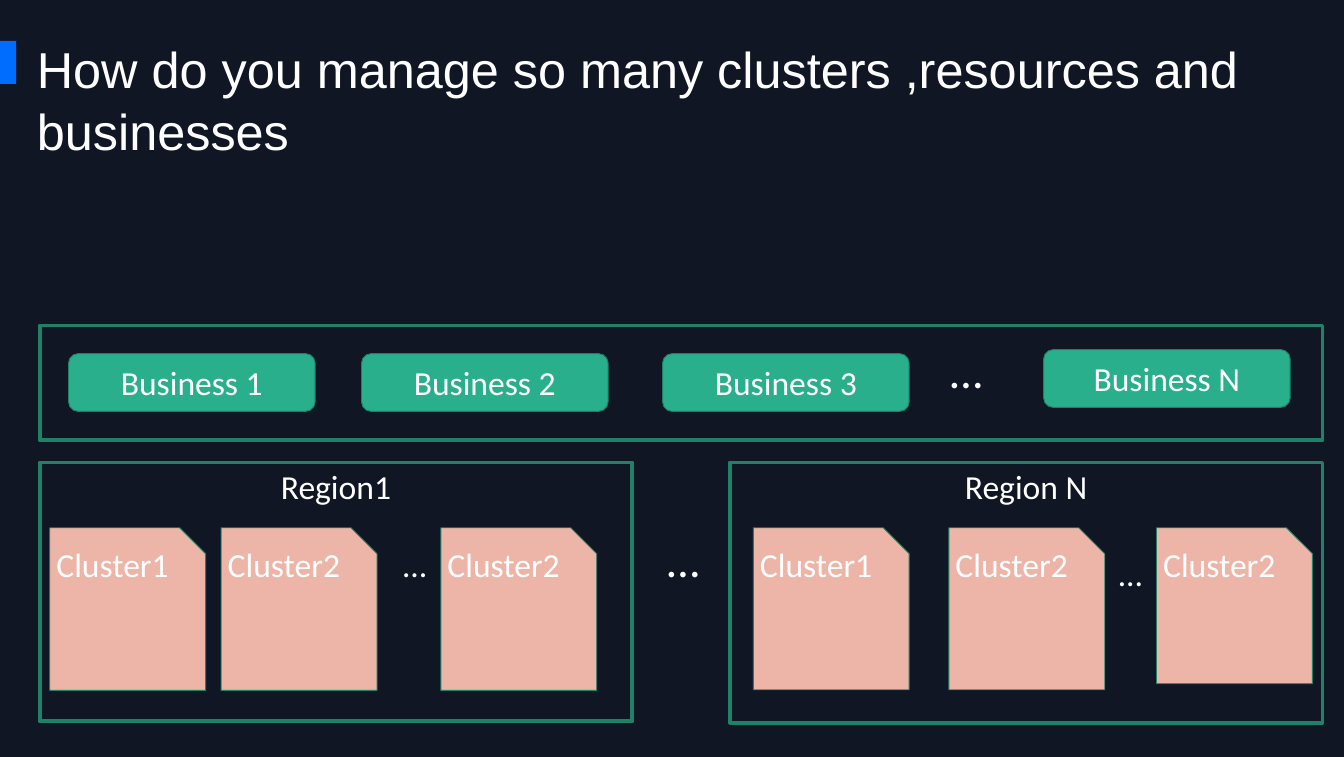
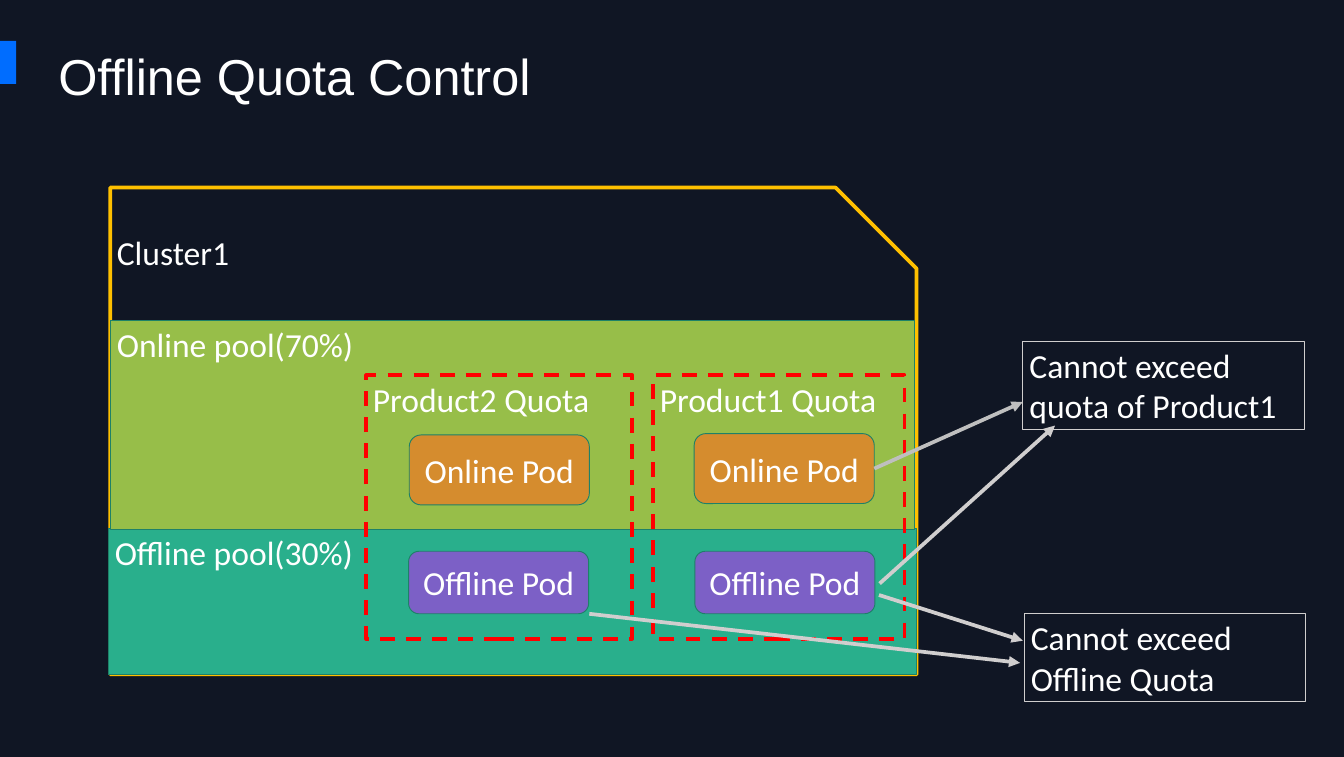
from dataclasses import dataclass
from lxml import etree
from pptx import Presentation
from pptx.dml.color import RGBColor
from pptx.enum import dml, shapes, text
from pptx.oxml import ns
from pptx.util import Inches, Pt


@dataclass(frozen=True)
class Theme:
    background: str = "101624"
    accent: str = "006DFF"
    white: str = "FFFFFF"
    outline: str = "1E8168"
    green: str = "29AF8C"
    lime: str = "97BE49"
    salmon: str = "ECB5A8"
    orange: str = "D58C2E"
    purple: str = "7C60C6"
    gold: str = "FFC000"
    red: str = "FF0000"
    pale: str = "D0CECE"
    grey: str = "BFBFBF"
    title_font: str = "Arial"
    body_font: str = "Calibri"
    title_size: int = 54
    title_pitch: int = 66
    body_size: int = 36
    dots_size: int = 50
    thin: int = 1
    thick: int = 4


@dataclass(frozen=True)
class Box:
    left: float
    top: float
    width: float
    height: float

    def inner(self, left, top, width, height):
        return Box(self.left + left, self.top + top, width, height)

    def lengths(self):
        return [Inches(n) for n in (self.left, self.top, self.width, self.height)]


THEME = Theme()
RECT = shapes.MSO_SHAPE.RECTANGLE
ROUND = shapes.MSO_SHAPE.ROUNDED_RECTANGLE
SNIP = shapes.MSO_SHAPE.SNIP_1_RECTANGLE


def color(value):
    return RGBColor.from_string(value)


def write(shape, words, size=THEME.body_size, font=THEME.body_font,
          centred=False, middle=False, grow=False):
    frame = shape.text_frame
    frame.word_wrap = True
    frame.vertical_anchor = text.MSO_ANCHOR.MIDDLE if middle else text.MSO_ANCHOR.TOP
    if grow:
        frame.auto_size = text.MSO_AUTO_SIZE.SHAPE_TO_FIT_TEXT
    para = frame.paragraphs[0]
    para.alignment = text.PP_ALIGN.CENTER if centred else text.PP_ALIGN.LEFT
    span = para.add_run()
    span.text = words
    span.font.size = Pt(size)
    span.font.name = font
    span.font.color.rgb = color(THEME.white)
    return para


def add_block(page, box, kind=RECT, fill=None, line=THEME.outline,
              weight=THEME.thin, words=None, **style):
    shape = page.shapes.add_shape(kind, *box.lengths())
    shape.shadow.inherit = False
    if fill:
        shape.fill.solid()
        shape.fill.fore_color.rgb = color(fill)
    else:
        shape.fill.background()
    if line:
        shape.line.color.rgb = color(line)
        shape.line.width = Pt(weight)
    else:
        shape.line.fill.background()
    if words:
        write(shape, words, **style)
    return shape


def add_label(page, box, words, **style):
    label = page.shapes.add_textbox(*box.lengths())
    return write(label, words, grow=True, **style)


def add_pill(page, box, fill, words):
    return add_block(page, box, ROUND, fill, words=words, centred=True, middle=True)


def add_arrow(page, start, end, line=THEME.pale, source=None):
    arrow = page.shapes.add_connector(
        shapes.MSO_CONNECTOR.STRAIGHT, *[Inches(n) for n in (*start, *end)])
    if source is not None:
        arrow.begin_connect(source, 3)
    arrow.line.color.rgb = color(line)
    arrow.line.width = Pt(THEME.thick)
    etree.SubElement(arrow.line._get_or_add_ln(), ns.qn("a:tailEnd"), type="triangle")
    etree.SubElement(arrow._element.spPr, ns.qn("a:effectLst"))


def add_page(deck, title, title_box):
    page = deck.slides.add_slide(deck.slide_layouts[6])
    page.background.fill.solid()
    page.background.fill.fore_color.rgb = color(THEME.background)
    add_block(page, Box(0, 0.61, 0.24, 0.64), fill=THEME.accent, line=None)
    para = add_label(page, title_box, title, size=THEME.title_size, font=THEME.title_font)
    para.line_spacing = Pt(THEME.title_pitch)
    return page


def add_businesses(page, box):
    add_block(page, box, weight=THEME.thick)
    pills = [("1", 0.43, 0.42), ("2", 4.79, 0.42), ("3", 9.27, 0.42), ("N", 14.94, 0.36)]
    for number, left, top in pills:
        add_pill(page, box.inner(left, top, 3.67, 0.86), THEME.green, f"Business {number}")
    add_label(page, box.inner(13.45, 0.19, 0.98, 0.94), "…", size=THEME.dots_size)


def add_region(page, box, name, clusters, dots):
    add_block(page, box, weight=THEME.thick, words=name, centred=True)
    for words, left, height in clusters:
        add_block(page, box.inner(left, 0.97, 2.32, height), SNIP, THEME.salmon, words=words)
    add_label(page, box.inner(*dots, 0.98, 0.71), "…")


def add_quota(page, box, name, online, offline):
    frame = add_block(page, box, line=THEME.red, weight=THEME.thick, words=name)
    frame.line.dash_style = dml.MSO_LINE.DASH
    online_pod = add_pill(page, box.inner(*online, 2.68, 1.04), THEME.orange, "Online Pod")
    add_pill(page, box.inner(*offline, 2.68, 0.93), THEME.purple, "Offline Pod")
    return online_pod


def add_cluster(page, box):
    add_block(page, box, SNIP, line=THEME.gold, weight=THEME.thick, words="Cluster1")
    add_block(page, box.inner(-0.03, 5.07, 12.03, 2.17), fill=THEME.green,
              words="Offline pool(30%)")
    add_block(page, box.inner(0, 1.98, 11.97, 3.1), fill=THEME.lime,
              words="Online pool(70%)")
    online_pod = add_quota(page, box.inner(8.08, 2.79, 3.74, 3.92), "Product1 Quota",
                           (0.61, 0.87), (0.62, 2.62))
    add_quota(page, box.inner(3.81, 2.79, 3.96, 3.92), "Product2 Quota",
              (0.64, 0.89), (0.63, 2.62))
    return online_pod


def add_limits(page, online_pod):
    add_arrow(page, (13.01, 6.97), (15.22, 5.98), THEME.grey, online_pod)
    for start, end in [((13.09, 8.68), (15.7, 6.33)),
                       ((13.08, 8.85), (15.22, 9.53)),
                       ((8.77, 9.13), (15.18, 9.86))]:
        add_arrow(page, start, end)
    for left, top, limit in [(15.22, 5.08, "quota of Product1"),
                             (15.24, 9.13, "Offline Quota")]:
        add_block(page, Box(left, top, 4.19, 1.31), line=THEME.pale,
                  words=f"Cannot exceed {limit}", grow=True)


def build_scale_page(deck):
    page = add_page(deck, "How do you manage so many clusters ,resources and businesses",
                    Box(0.45, 0.5, 19.23, 1.92))
    add_businesses(page, Box(0.59, 4.84, 19.09, 1.71))
    add_region(page, Box(0.59, 6.88, 8.82, 3.85), "Region1",
               [("Cluster1", 0.15, 2.42), ("Cluster2", 2.7, 2.42), ("Cluster2", 5.97, 2.42)],
               (5.31, 1.16))
    add_region(page, Box(10.86, 6.88, 8.82, 3.87), "Region N",
               [("Cluster1", 0.35, 2.41), ("Cluster2", 3.26, 2.41), ("Cluster2", 6.35, 2.32)],
               (5.69, 1.3))
    add_label(page, Box(9.83, 7.85, 0.98, 0.94), "…", size=THEME.dots_size)


def build_quota_page(deck):
    page = add_page(deck, "Offline Quota Control", Box(0.77, 0.61, 10.9, 1.01))
    online_pod = add_cluster(page, Box(1.64, 2.79, 12, 7.24))
    add_limits(page, online_pod)


def main():
    deck = Presentation()
    deck.slide_width = Inches(20)
    deck.slide_height = Inches(11.26)
    build_scale_page(deck)
    build_quota_page(deck)
    deck.save("out.pptx")


if __name__ == "__main__":
    main()
